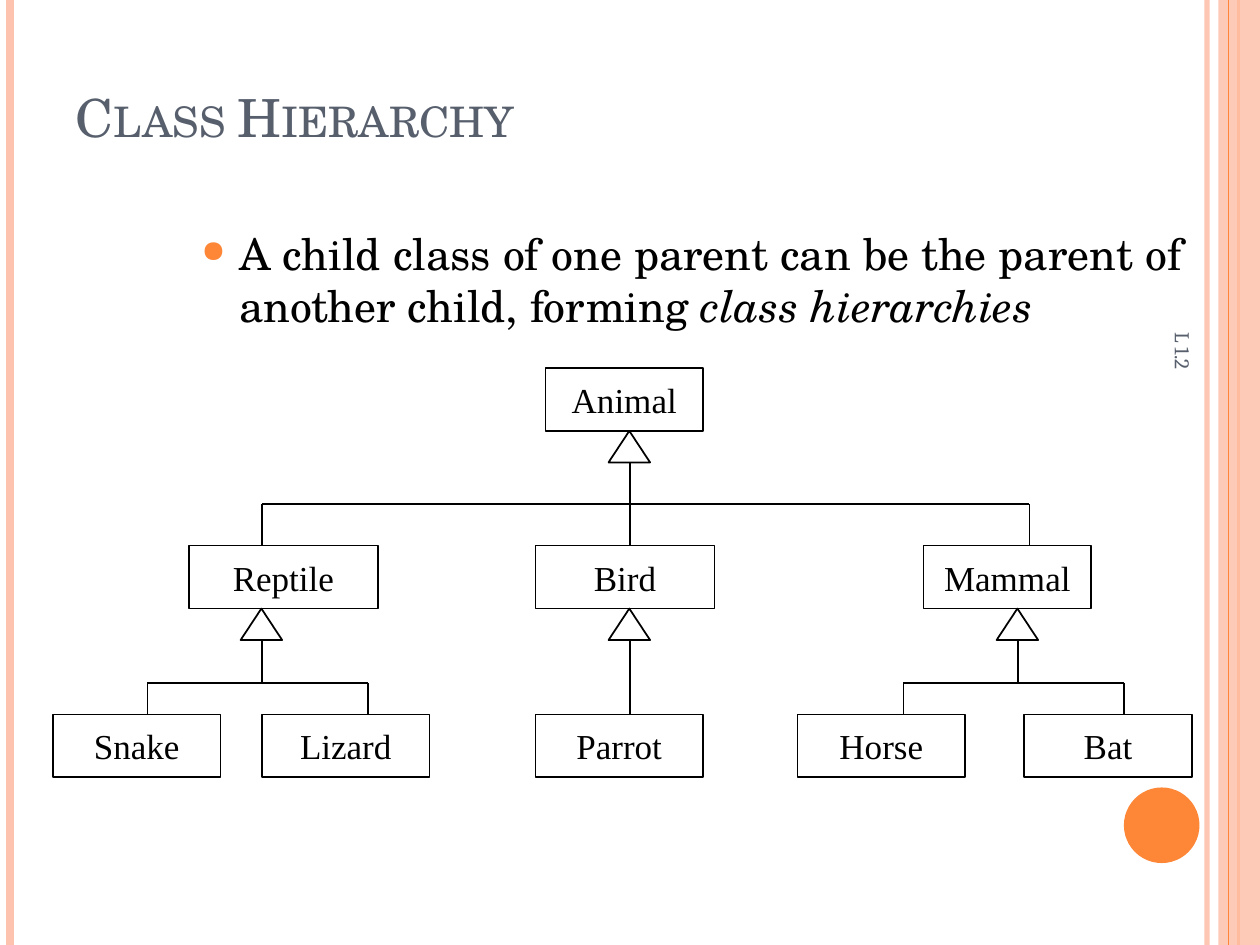
from lxml import etree
from pptx import Presentation
from pptx.dml.color import RGBColor
from pptx.enum.shapes import MSO_CONNECTOR, MSO_SHAPE
from pptx.enum.text import MSO_ANCHOR, PP_ALIGN
from pptx.oxml.ns import qn
from pptx.util import Inches, Pt

STRAIGHT = MSO_CONNECTOR.STRAIGHT
RECT, OVAL, TRIANGLE = MSO_SHAPE.RECTANGLE, MSO_SHAPE.OVAL, MSO_SHAPE.ISOSCELES_TRIANGLE
MIDDLE, CENTER = MSO_ANCHOR.MIDDLE, PP_ALIGN.CENTER
COLORS = {"peach": "FEC3AE", "orange": "FE8637", "slate": "575F6D",
          "black": "000000", "white": "FFFFFF"}
SERIF, NUMBER_FONT, BOX_FONT = "TeX Gyre Schola", "Cambria", "Times New Roman"


def rgb(name):
    return RGBColor.from_string(COLORS[name])


def add_xml(parent, tag, **attrs):
    return etree.SubElement(parent, qn(tag), attrs)


def set_alpha(element, percent):
    color = next(element.iter(qn("a:srgbClr")))
    add_xml(color, "a:alpha", val=str(percent * 1000))


def add_line(s, x1, y1, x2, y2, color="black", width=1, arrow=False):
    line = s.shapes.add_connector(STRAIGHT, *map(Inches, (x1, y1, x2, y2)))
    line.line.color.rgb = rgb(color)
    line.line.width = Pt(width)
    if arrow:
        add_xml(line.line._get_or_add_ln(), "a:tailEnd", type="triangle")
    add_xml(line._element.spPr, "a:effectLst")
    return line


def add_shape(s, kind, x, y, w, h, fill="white", outline="black"):
    sp = s.shapes.add_shape(kind, *map(Inches, (x, y, w, h)))
    sp.shadow.inherit = False
    sp.fill.solid()
    sp.fill.fore_color.rgb = rgb(fill)
    if outline:
        sp.line.color.rgb = rgb(outline)
        sp.line.width = Pt(1)
    else:
        sp.line.fill.background()
    return sp


def style(r, font, size, color):
    r.font.name, r.font.size = font, Pt(size)
    r.font.color.rgb = rgb(color)


def add_text(s, text, x, y, w, h, font, size, color):
    sp = s.shapes.add_textbox(*map(Inches, (x, y, w, h)))
    tf = sp.text_frame
    tf.word_wrap = True
    tf.text = text
    style(tf.paragraphs[0].runs[0], font, size, color)
    return sp


# Side stripes and disc
def add_decor(s, w, h):
    inner = add_line(s, w - 0.42, 0, w - 0.42, h, "peach", 3)
    set_alpha(inner._element, 93)
    add_line(s, 0.08, 0, 0.08, h, "peach", 4.5)
    add_line(s, w - 0.17, 0, w - 0.17, h, "orange", 1.5)
    band = add_shape(s, RECT, w - 0.33, 0, 0.33, h, "peach", None)
    set_alpha(band._element, 87)
    add_line(s, w - 0.25, 0, w - 0.25, h, "orange", 0.75)
    add_shape(s, OVAL, w - 1.08, h - 1.25, 0.6, 0.6, "orange", None)


def add_title(s, x, y, w, h):
    sp = add_text(s, "Class Hierarchy", x, y, w, h, SERIF, 30, "slate")
    sp.text_frame.vertical_anchor = MIDDLE
    sp.text_frame.paragraphs[0].runs[0].font._element.set("cap", "small")


def add_bullet(s, x, y, w, h):
    sp = add_text(s, "A child class of one parent can be the parent of "
                  "another child, forming ", x, y, w, h, SERIF, 25, "black")
    p = sp.text_frame.paragraphs[0]
    p.space_before = Pt(6)
    r = p.add_run()
    r.text = "class hierarchies"
    style(r, SERIF, 25, "black")
    r.font.italic = True
    pPr = p._p.get_or_add_pPr()
    pPr.set("marL", str(Inches(0.3)))
    pPr.set("indent", str(Inches(-0.3)))
    add_xml(add_xml(pPr, "a:buClr"), "a:srgbClr", val=COLORS["orange"])
    add_xml(pPr, "a:buSzPct", val="70000")
    add_xml(pPr, "a:buChar", char="●")


def add_slide_number(s, x, y, w, h):
    sp = add_text(s, "L 1.2", x, y, w, h, NUMBER_FONT, 12, "slate")
    sp.text_frame.vertical_anchor = MIDDLE
    sp.rotation = 90


# Class tree: rows of boxes joined by inheritance branches
def add_class(s, name, x, y, w, h):
    sp = add_shape(s, RECT, x, y, w, h)
    tf = sp.text_frame
    tf.word_wrap = False
    tf.vertical_anchor = MIDDLE
    tf.text = name
    p = tf.paragraphs[0]
    p.alignment = CENTER
    style(p.runs[0], BOX_FONT, 20, "black")


def add_branch(s, x, top, shaft_end, bus, child_top, child_xs):
    if child_xs:
        add_line(s, child_xs[0], bus, child_xs[-1], bus)
    for child_x in child_xs:
        add_line(s, child_x, bus, child_x, child_top)
    add_line(s, x, shaft_end, x, top, arrow=True)
    add_shape(s, TRIANGLE, x - 0.17, top, 0.33, 0.25)


def add_tree(s, x, y):
    box_h, leaf_w = 0.5, 1.33
    row_tops = [y, y + 1.41, y + 2.75]
    rows = [
        [("Animal", 3.91, 1.25)],
        [("Reptile", 1.08, 1.5), ("Bird", 3.83, 1.42), ("Mammal", 6.91, leaf_w)],
        [("Snake", 0, leaf_w), ("Lizard", 1.66, leaf_w), ("Parrot", 3.83, leaf_w),
         ("Horse", 5.91, leaf_w), ("Bat", 7.71, leaf_w)],
    ]
    for top, row in zip(row_tops, rows):
        for name, dx, w in row:
            add_class(s, name, x + dx, top, w, box_h)

    # parent row, centre, shaft end, bus, child centres
    branches = [
        (0, 4.58, 1.33, 1.08, [1.66, 4.58, 7.75]),
        (1, 1.66, 2.5, 2.5, [0.75, 2.5]),
        (1, 4.58, 2.75, 2.5, []),
        (1, 7.66, 2.5, 2.5, [6.75, 8.5]),
    ]
    for row, dx, end, bus, children in branches:
        add_branch(s, x + dx, row_tops[row] + box_h, y + end, y + bus,
                   row_tops[row + 1], [x + c for c in children])


prs = Presentation()
prs.slide_width, prs.slide_height = Inches(10), Inches(7.5)
s = prs.slides.add_slide(prs.slide_layouts[6])
add_decor(s, 10, 7.5)
add_title(s, 0.5, 0.3, 8.17, 1.25)
add_bullet(s, 1.5, 1.75, 8, 0.89)
add_slide_number(s, 7.64, 4.09, 3.5, 0.4)
add_tree(s, 0.42, 2.92)
prs.save("out.pptx")
